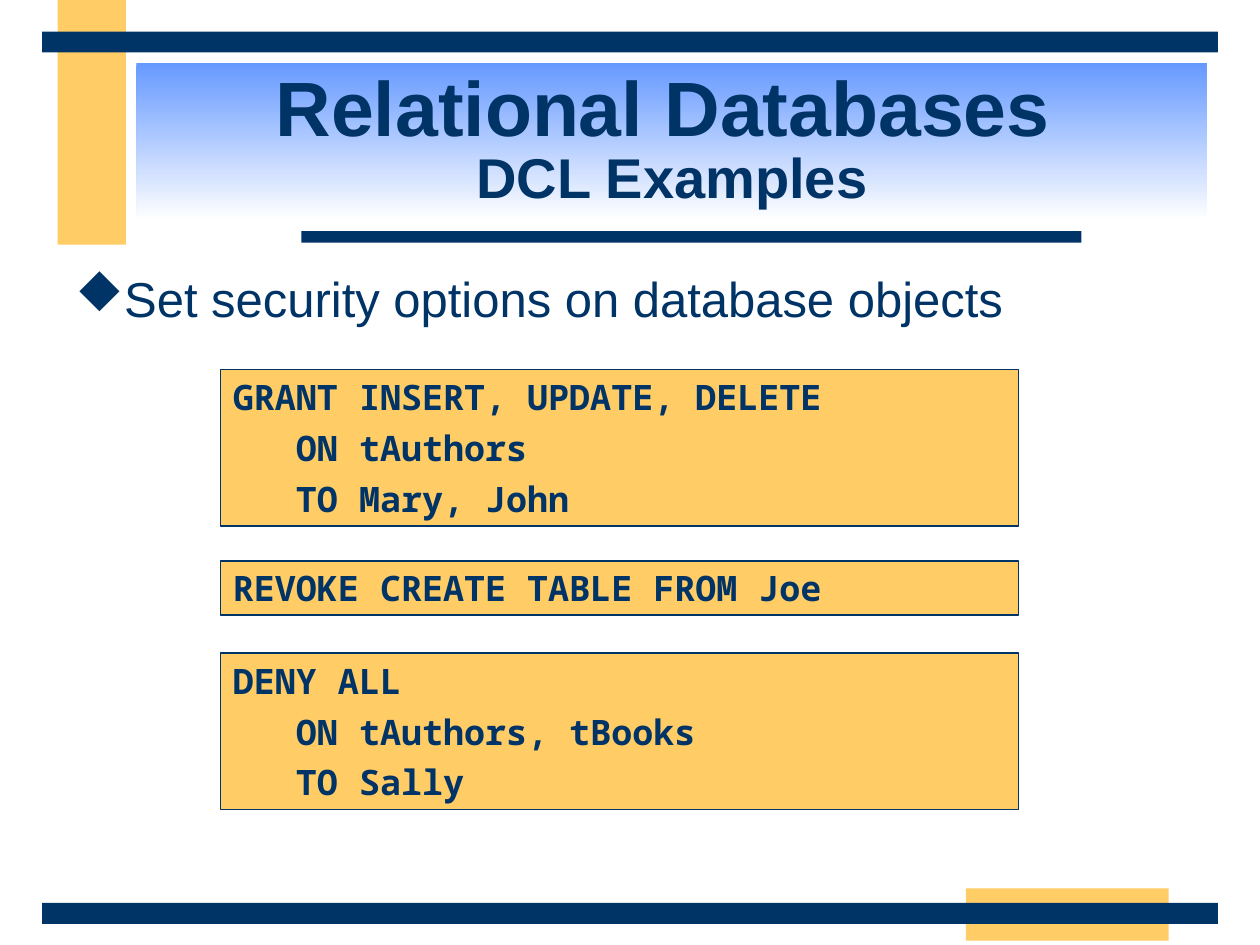
from lxml.etree import SubElement
from pptx import Presentation
from pptx.dml.color import RGBColor
from pptx.enum.shapes import MSO_SHAPE
from pptx.enum.text import MSO_ANCHOR, PP_ALIGN
from pptx.oxml.ns import qn
from pptx.util import Inches, Pt

CELL = Inches(1) / 12  # grid of 120 columns by 90 rows
NAVY, AMBER, BLUE, WHITE = "003366", "FFCC66", "6699FF", "FFFFFF"

BARS = [
    (5.5, 0, 6.5, 23.3, AMBER),
    (92, 84.6, 19.3, 5, AMBER),
    (28.7, 22, 74.3, 1.1, NAVY),
    (4, 86, 112, 2, NAVY),
    (4, 3, 112, 2, NAVY),
]
STATEMENTS = [
    (35.2, 14.9, ["GRANT INSERT, UPDATE, DELETE", "   ON tAuthors", "   TO Mary, John"]),
    (53.4, 5.2, ["REVOKE CREATE TABLE FROM Joe"]),
    (62.2, 14.9, ["DENY ALL", "   ON tAuthors, tBooks", "   TO Sally"]),
]


def rgb(color):
    return RGBColor.from_string(color)


def grid(*cells):
    return [round(n * CELL) for n in cells]


class SlideBuilder:
    heading = {"name": "Arial", "bold": True}
    body = {"name": "Arial", "size": Pt(28), "bold": False}
    code = {"name": "Noto Sans Mono", "size": Pt(20), "bold": True}

    def __init__(self, prs):
        self.s = prs.slides.add_slide(prs.slide_layouts[6])

    def style(self, font, values):
        for name, value in values.items():
            setattr(font, name, value)
        font.color.rgb = rgb(NAVY)

    def run(self, p, text, values):
        r = p.add_run()
        r.text = text
        self.style(r.font, values)

    def bar(self, x, y, w, h, color):
        sp = self.s.shapes.add_shape(MSO_SHAPE.RECTANGLE, *grid(x, y, w, h))
        sp.shadow.inherit = False
        sp.fill.solid()
        sp.fill.fore_color.rgb = rgb(color)
        sp.line.fill.background()
        return sp

    def title(self, x, y, w, h, main, sub):
        sp = self.bar(x, y, w, h, BLUE)
        sp.fill.gradient()
        sp.fill.gradient_angle = 270
        for stop, color in zip(sp.fill.gradient_stops, (BLUE, WHITE)):
            stop.color.rgb = rgb(color)
        tf = sp.text_frame
        tf.word_wrap = True
        tf.vertical_anchor = MSO_ANCHOR.MIDDLE
        p = tf.paragraphs[0]
        p.alignment = PP_ALIGN.CENTER
        p.line_spacing = 0.85
        self.run(p, main, {**self.heading, "size": Pt(44)})
        self.run(p, " ", {**self.heading, "size": Pt(36)})
        p.add_line_break()
        self.run(p, sub, {**self.heading, "size": Pt(32)})

    def bullet(self, x, y, w, h, text):
        """Add one line of text marked by a diamond."""
        tf = self.s.shapes.add_textbox(*grid(x, y, w, h)).text_frame
        tf.word_wrap = True
        p = tf.paragraphs[0]
        pPr = p._p.get_or_add_pPr()
        indent = Inches(0.38)
        pPr.set("marL", str(indent))
        pPr.set("indent", str(-indent))
        SubElement(SubElement(pPr, qn("a:buClr")), qn("a:srgbClr")).set("val", NAVY)
        buFont = SubElement(pPr, qn("a:buFont"))
        buFont.set("typeface", "Wingdings")
        buFont.set("charset", "2")
        SubElement(pPr, qn("a:buChar")).set("char", "u")  # diamond in Wingdings
        self.run(p, text, self.body)

    def code_box(self, x, y, w, h, lines):
        sp = self.bar(x, y, w, h, AMBER)
        sp.line.color.rgb = rgb(NAVY)
        sp.line.width = Pt(1)
        tf = sp.text_frame
        tf.word_wrap = True
        tf.vertical_anchor = MSO_ANCHOR.TOP
        for i, line in enumerate(lines):
            p = tf.add_paragraph() if i else tf.paragraphs[0]
            p.alignment = PP_ALIGN.LEFT
            p.space_before = Pt(5 if i else 0)
            self.run(p, line, self.code)


def main():
    prs = Presentation()
    prs.slide_width, prs.slide_height = Inches(10), Inches(7.5)
    slide = SlideBuilder(prs)
    for bar in BARS:
        slide.bar(*bar)
    slide.title(13, 6, 102, 15, "Relational Databases", "DCL Examples")
    slide.bullet(6, 25, 108, 8, "Set security options on database objects")
    for y, h, lines in STATEMENTS:
        slide.code_box(21, y, 76, h, lines)
    prs.save("out.pptx")


if __name__ == "__main__":
    main()
